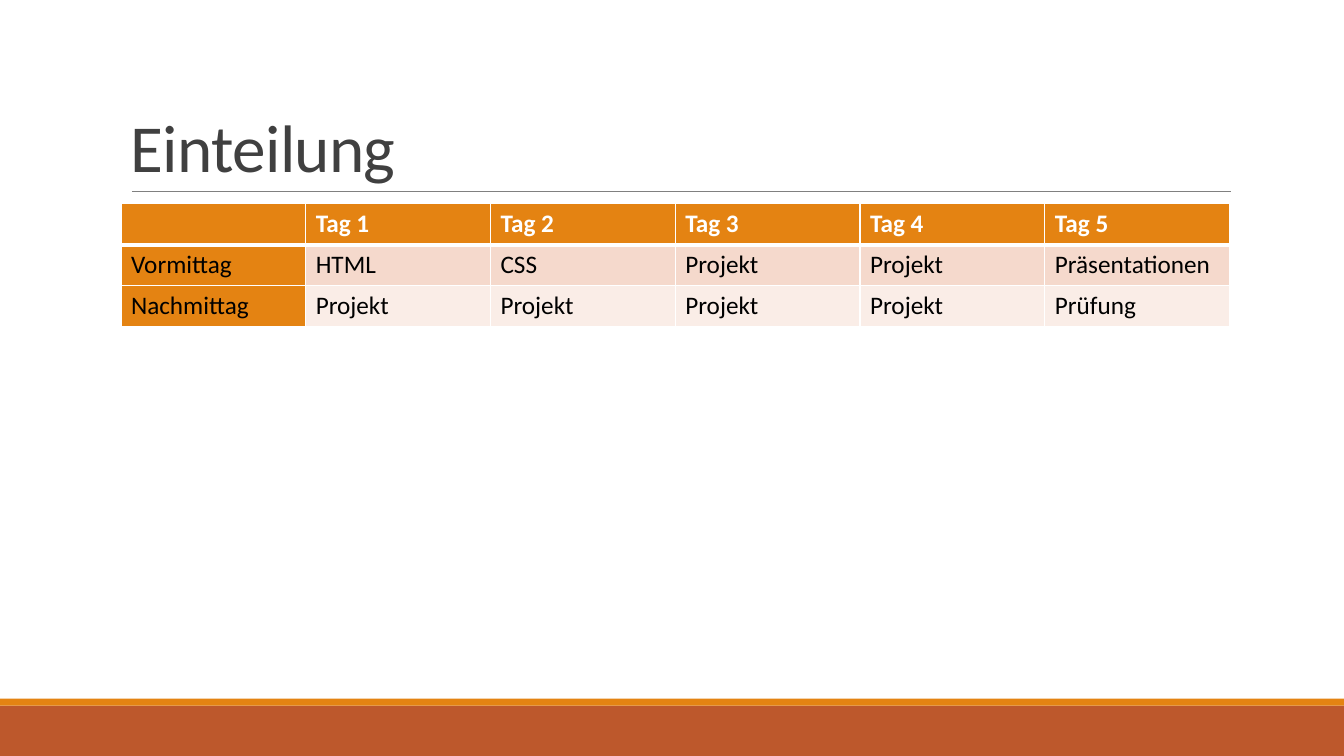
from lxml.etree import SubElement
from pptx import Presentation
from pptx.dml.color import RGBColor
from pptx.enum.shapes import MSO_CONNECTOR, MSO_SHAPE
from pptx.enum.text import MSO_ANCHOR
from pptx.oxml.ns import qn
from pptx.util import Pt

TITLE = "Einteilung"
ROWS = [
    ["", "Tag 1", "Tag 2", "Tag 3", "Tag 4", "Tag 5"],
    ["Vormittag", "HTML", "CSS", "Projekt", "Projekt", "Präsentationen"],
    ["Nachmittag", "Projekt", "Projekt", "Projekt", "Projekt", "Prüfung"],
]
ORANGE = "E48312"
BANDS = [ORANGE, "F5D9CC", "FAEDE7"]
BARS = [(504, 36, "BD582C"), (499, 5, ORANGE)]  # top, height, colour
WIDTH, HEIGHT = 960, 540
LEFT, SPAN = 86.4, 792
TOP, ROW_H = 145.6, 29.2


def paint(fill, color):
    fill.solid()
    fill.fore_color.rgb = RGBColor.from_string(color)


def write(frame, text, size=18, color="000000", bold=False, lines=1, track=0):
    """Put text in the frame; track is letter spacing in points."""
    para = frame.paragraphs[0]
    para.line_spacing = lines
    run = para.add_run()
    run.text = text
    font = run.font
    font.name, font.size, font.bold = "Calibri", Pt(size), bold
    font.color.rgb = RGBColor.from_string(color)
    if track:
        run._r.get_or_add_rPr().set("spc", str(round(track * 100)))


def edge(cell, side, width):
    """Draw a white border on one side (L, R, T or B)."""
    line = SubElement(cell._tc.get_or_add_tcPr(), qn("a:ln" + side), w=str(Pt(width)))
    fill = SubElement(line, qn("a:solidFill"))
    SubElement(fill, qn("a:srgbClr"), val="FFFFFF")


deck = Presentation()
deck.slide_width, deck.slide_height = Pt(WIDTH), Pt(HEIGHT)
slide = deck.slides.add_slide(deck.slide_layouts[6])
shapes = slide.shapes

for top, high, color in BARS:
    bar = shapes.add_shape(MSO_SHAPE.RECTANGLE, 0, Pt(top), Pt(WIDTH), Pt(high))
    bar.shadow.inherit = False
    paint(bar.fill, color)
    bar.line.fill.background()

rule = shapes.add_connector(
    MSO_CONNECTOR.STRAIGHT, Pt(94.3), Pt(136.8), Pt(879), Pt(136.8))
rule.line.width = Pt(0.5)
paint(rule.line.fill, "808080")
SubElement(rule._element.spPr, qn("a:effectLst"))

title = shapes.add_textbox(Pt(LEFT), Pt(22.5), Pt(SPAN), Pt(114.3)).text_frame
title.word_wrap = True
title.vertical_anchor = MSO_ANCHOR.BOTTOM
write(title, TITLE, size=48, color="404040", lines=0.85, track=-0.5)

count = len(ROWS[0])
table = shapes.add_table(
    len(ROWS), count, Pt(LEFT), Pt(TOP), Pt(SPAN), Pt(ROW_H * len(ROWS))).table
for col in table.columns:
    col.width = Pt(SPAN / count)
for r, row in enumerate(ROWS):
    table.rows[r].height = Pt(ROW_H)
    head = r == 0
    for c, text in enumerate(row):
        cell = table.cell(r, c)
        for side in "LRTB":
            thick = (r, side) in [(0, "B"), (1, "T")]
            edge(cell, side, 3 if thick else 1)
        paint(cell.fill, ORANGE if c == 0 else BANDS[r])
        if text:
            write(cell.text_frame, text, bold=head,
                  color="FFFFFF" if head else "000000")

deck.save("out.pptx")
